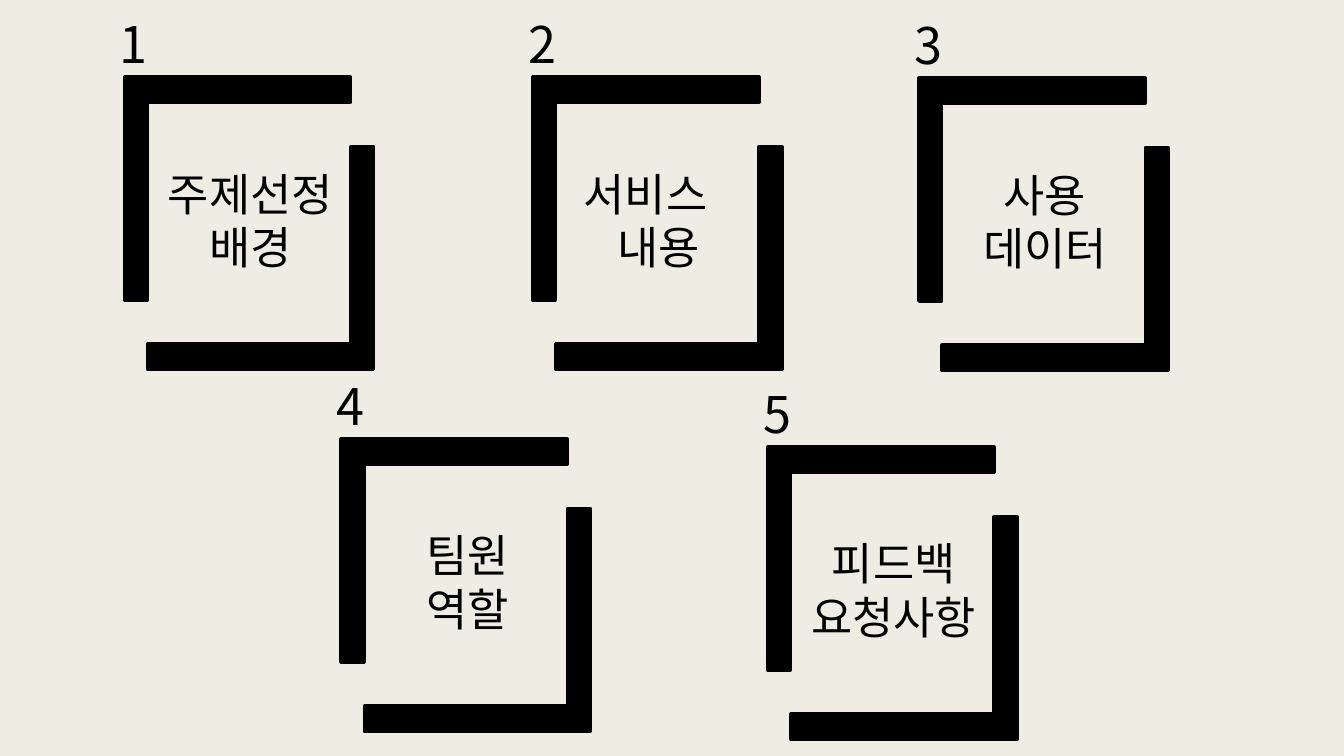
from lxml.etree import SubElement
from pptx import Presentation
from pptx.dml.color import RGBColor
from pptx.enum.shapes import MSO_SHAPE
from pptx.enum.text import PP_ALIGN
from pptx.oxml.ns import qn
from pptx.util import Inches, Pt

COLORS = {"paper": "EFEDE3", "ink": "000000"}
FONT = "Noto Sans CJK KR"
LINE_HEIGHT = 1.2
CORNER_SIZE = (2.21, 2.24)

presentation = Presentation()
presentation.slide_width = Inches(13.33)
presentation.slide_height = Inches(7.5)
slide = presentation.slides.add_slide(presentation.slide_layouts[6])
slide.background.fill.solid()
slide.background.fill.fore_color.rgb = RGBColor.from_string(COLORS["paper"])


def add_corner(left, top, rotation):
    shape = slide.shapes.add_shape(
        MSO_SHAPE.CORNER, Inches(left), Inches(top), *map(Inches, CORNER_SIZE))
    shape.adjustments[0] = 0.101
    shape.adjustments[1] = 0.113
    shape.rotation = rotation
    shape.shadow.inherit = False
    shape.fill.solid()
    shape.fill.fore_color.rgb = RGBColor.from_string(COLORS["ink"])
    shape.line.color.rgb = RGBColor.from_string(COLORS["ink"])
    shape.line.width = Pt(2.75)


def add_text(left, top, width, height, lines, size, alignment):
    box = slide.shapes.add_textbox(
        Inches(left), Inches(top), Inches(width), Inches(height))
    frame = box.text_frame
    frame.word_wrap = True
    frame.text = "\n".join(lines)
    for paragraph in frame.paragraphs:
        paragraph.alignment = alignment
        paragraph.line_spacing = Pt(size * LINE_HEIGHT)
        paragraph.font.size = Pt(size)
        paragraph.font.color.rgb = RGBColor.from_string(COLORS["ink"])
        paragraph.font.name = FONT
        defaults = paragraph._p.pPr.find(qn("a:defRPr"))
        SubElement(defaults, qn("a:ea")).set("typeface", FONT)
    return frame


topics = [
    (1.25, 0.75, ["주제선정", "배경"]),
    (5.3, 0.75, ["서비스", "내용"]),
    (9.13, 0.76, ["사용", "데이터"]),
    (3.4, 4.34, ["팀원", "역할"]),
    (7.63, 4.42, ["피드백", "요청사항"]),
]

for number, (left, top, lines) in enumerate(topics, start=1):
    add_corner(left, top, 90)
    add_corner(left + 0.23, top + 0.69, 270)
    add_text(left - 0.16, top - 0.67, 0.47, 0.71, [str(number)], 36, PP_ALIGN.LEFT)
    label = add_text(left + 0.27, top + 0.85, 1.93, 1.18, lines, 32, PP_ALIGN.CENTER)
    if lines[0] == "서비스":
        service = label.paragraphs[0]
        service.alignment = PP_ALIGN.LEFT
        service._p.pPr.set("marL", str(Inches(0.12)))

presentation.save("out.pptx")
